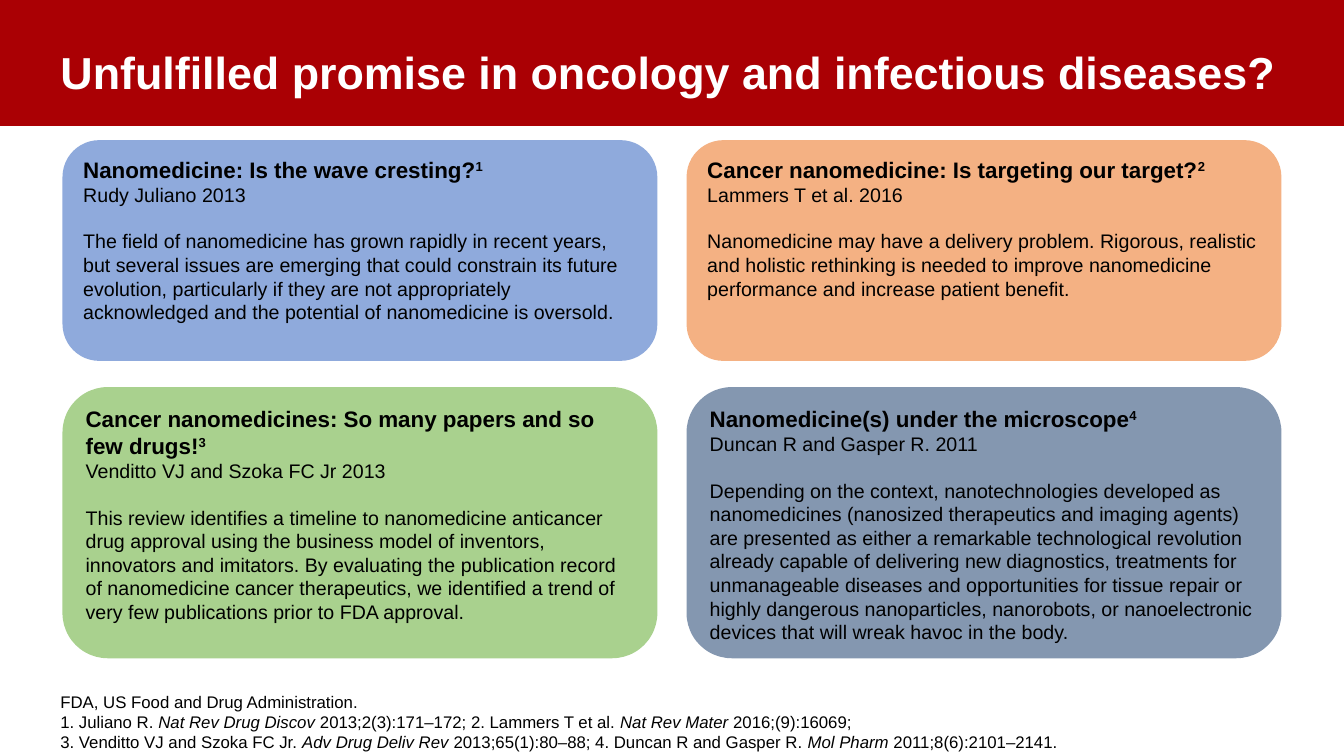
from pptx import Presentation
from pptx.dml.color import RGBColor
from pptx.enum.shapes import MSO_SHAPE as SHAPE
from pptx.enum.text import MSO_ANCHOR as ANCHOR, PP_ALIGN as ALIGN
from pptx.util import Inches, Pt

COLORS = {
    "band": "AA0004", "white": "FFFFFF", "black": "000000",
    "blue": "8FAADC", "orange": "F4B183", "green": "A9D18E", "slate": "8497B0",
}

TITLE = "Unfulfilled promise in oncology and infectious diseases?"

CARDS = [
    ("blue", "Nanomedicine: Is the wave cresting?", "Rudy Juliano 2013",
     "The field of nanomedicine has grown rapidly in recent years, but several issues are "
     "emerging that could constrain its future evolution, particularly if they are not "
     "appropriately acknowledged and the potential of nanomedicine is oversold."),
    ("orange", "Cancer nanomedicine: Is targeting our target?", "Lammers T et al. 2016",
     "Nanomedicine may have a delivery problem. Rigorous, realistic and holistic rethinking "
     "is needed to improve nanomedicine performance and increase patient benefit."),
    ("green", "Cancer nanomedicines: So many papers and so few drugs!",
     "Venditto VJ and Szoka FC Jr 2013",
     "This review identifies a timeline to nanomedicine anticancer drug approval using the "
     "business model of inventors, innovators and imitators. By evaluating the publication "
     "record of nanomedicine cancer therapeutics, we identified a trend of very few "
     "publications prior to FDA approval."),
    ("slate", "Nanomedicine(s) under the microscope", "Duncan R and Gasper R. 2011",
     "Depending on the context, nanotechnologies developed as nanomedicines (nanosized "
     "therapeutics and imaging agents) are presented as either a remarkable technological "
     "revolution already capable of delivering new diagnostics, treatments for unmanageable "
     "diseases and opportunities for tissue repair or highly dangerous nanoparticles, "
     "nanorobots, or nanoelectronic devices that will wreak havoc in the body."),
]

REFERENCES = [
    "FDA, US Food and Drug Administration.",
    "1. Juliano R. *Nat Rev Drug Discov *2013;2(3):171–172; "
    "2. Lammers T et al. *Nat Rev Mater *2016;(9):16069;",
    "3. Venditto VJ and Szoka FC Jr. *Adv Drug Deliv Rev* 2013;65(1):80–88; "
    "4. Duncan R and Gasper R. *Mol Pharm *2011;8(6):2101–2141.",
]

COLS, ROWS = 133.3, 75
CARD_LEFT, CARD_WIDTH, CARD_STEP = 6.2, 59, 61.9
CARD_ROWS = [(13.9, 21.9), (38.4, 26.9)]


class Deck:
    font = "Arial"

    def __init__(self, prs):
        self.prs = prs
        self.s = prs.slides.add_slide(prs.slide_layouts[5])

    def box(self, col, row, cols, rows):
        x, y = self.prs.slide_width / COLS, self.prs.slide_height / ROWS
        return round(col * x), round(row * y), round(cols * x), round(rows * y)

    def style(self, r, size, color="black", bold=False, italic=False):
        f = r.font
        f.name, f.size, f.bold, f.italic = self.font, Pt(size), bold, italic
        f.color.rgb = RGBColor.from_string(COLORS[color])

    def shape(self, kind, color, *cells):
        sp = self.s.shapes.add_shape(kind, *self.box(*cells))
        sp.shadow.inherit = False
        sp.fill.solid()
        sp.fill.fore_color.rgb = RGBColor.from_string(COLORS[color])
        sp.line.fill.background()
        return sp

    def title(self, text, *cells):
        sp = self.s.shapes.title
        sp.left, sp.top, sp.width, sp.height = self.box(*cells)
        tf = sp.text_frame
        tf.text = text
        tf.vertical_anchor = ANCHOR.MIDDLE
        p = tf.paragraphs[0]
        p.alignment, p.line_spacing = ALIGN.LEFT, 0.9
        self.style(p.runs[0], 32, "white", bold=True)

    def band(self, color, *cells):
        sp = self.shape(SHAPE.RECTANGLE, color, *cells)
        self.s.shapes.title.element.addprevious(sp.element)

    def card(self, number, color, heading, author, summary, *cells):
        tf = self.shape(SHAPE.ROUNDED_RECTANGLE, color, *cells).text_frame
        tf.word_wrap = True
        tf.vertical_anchor = ANCHOR.TOP
        tf.text = "\n".join((heading, author, summary))
        for p, size in zip(tf.paragraphs, (16, 14, 14)):
            p.alignment = ALIGN.LEFT
            self.style(p.runs[0], size, bold=size == 16)
        r = tf.paragraphs[0].add_run()
        r.text = str(number)
        self.style(r, 16, bold=True)
        r.font._element.set("baseline", "30000")
        tf.paragraphs[2].space_before = Pt(16.5)

    def references(self, lines, *cells):
        tf = self.s.shapes.add_textbox(*self.box(*cells)).text_frame
        tf.word_wrap = True
        tf.vertical_anchor = ANCHOR.BOTTOM
        for i, line in enumerate(lines):
            p = tf.add_paragraph() if i else tf.paragraphs[0]
            for j, part in enumerate(line.split("*")):
                r = p.add_run()
                r.text = part
                self.style(r, 12, italic=j % 2 == 1)


def main():
    prs = Presentation()
    prs.slide_width, prs.slide_height = Inches(13.33), Inches(7.5)
    deck = Deck(prs)
    deck.band("band", 0, 0, COLS, 12.5)
    deck.title(TITLE, 5, 0.9, 128.3, 13)
    deck.references(REFERENCES, 5, 70.1, 107.6, 5)
    for i, card in enumerate(CARDS):
        row, col = divmod(i, 2)
        top, height = CARD_ROWS[row]
        deck.card(i + 1, *card, CARD_LEFT + col * CARD_STEP, top, CARD_WIDTH, height)
    prs.save("out.pptx")


if __name__ == "__main__":
    main()
